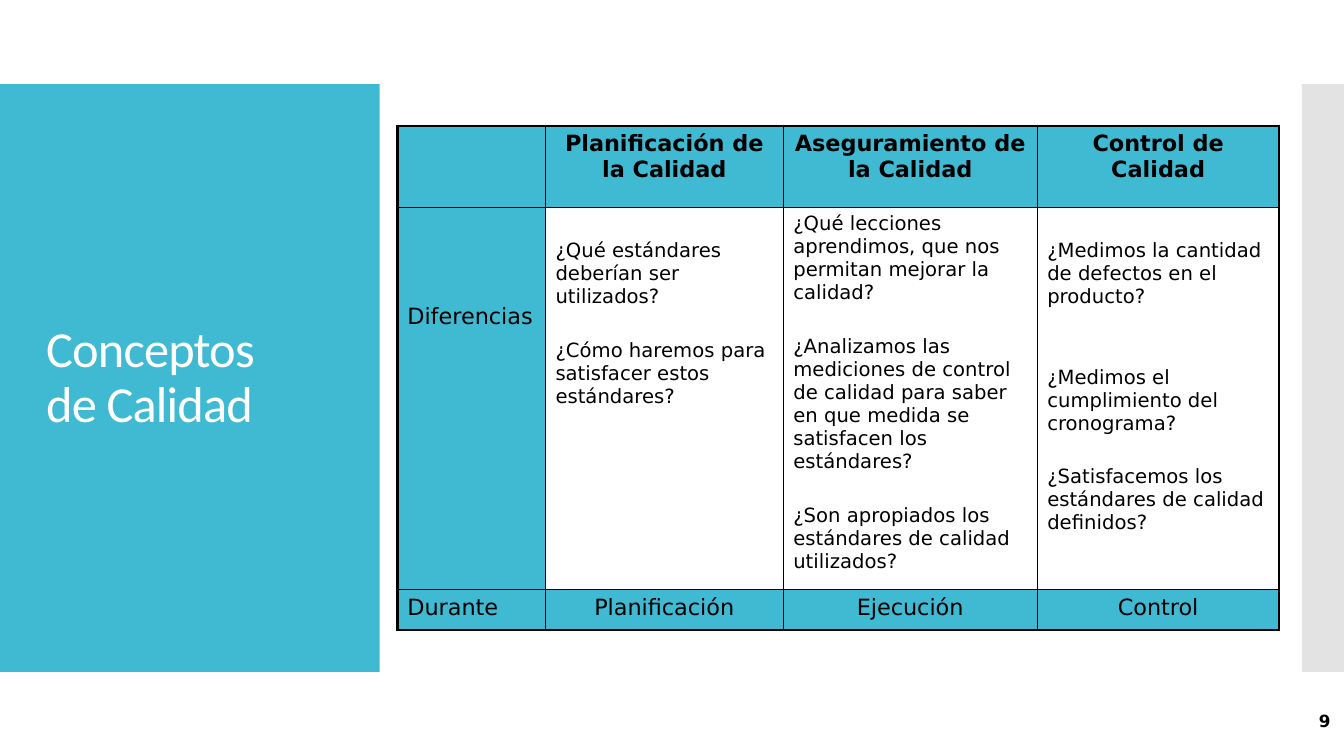
from dataclasses import dataclass

from lxml import etree
from pptx import Presentation
from pptx.dml.color import RGBColor
from pptx.enum.shapes import MSO_SHAPE
from pptx.enum.text import MSO_ANCHOR, PP_ALIGN
from pptx.oxml.ns import qn
from pptx.util import Pt

RECT = MSO_SHAPE.RECTANGLE
MIDDLE = MSO_ANCHOR.MIDDLE
LEFT, CENTER, RIGHT = PP_ALIGN.LEFT, PP_ALIGN.CENTER, PP_ALIGN.RIGHT


@dataclass(frozen=True)
class Theme:
    teal: str = "40BAD2"
    gray: str = "C8C8C8"
    white: str = "FFFFFF"
    black: str = "000000"
    head: str = "Calibri"
    body: str = "DejaVu Sans"
    title: float = 36
    label: float = 16
    text: float = 14
    page: float = 12
    thin: float = 1
    thick: float = 2.25


@dataclass(frozen=True)
class Box:
    left: float
    top: float
    width: float
    height: float

    def points(self) -> tuple:
        return Pt(self.left), Pt(self.top), Pt(self.width), Pt(self.height)


@dataclass(frozen=True)
class Panel:
    box: Box
    color: str
    alpha: int = 100


@dataclass(frozen=True)
class Label:
    box: Box
    text: str
    font: str
    size: float
    color: str
    align: PP_ALIGN = LEFT
    bold: bool = False
    leading: float = 1.0
    track: int = 0


@dataclass(frozen=True)
class Entry:
    lines: tuple = ()
    size: float = 16
    align: PP_ALIGN = LEFT
    bold: bool = False
    filled: bool = True
    inset: float = 3.6
    gaps: tuple = ()


THEME = Theme()
GAP, WIDE = 22, 41
DROP = 22.7

PANELS = (
    Panel(Box(0, 60, 271.2, 420), THEME.teal),
    Panel(Box(930, 60, 30, 420), THEME.gray, 50),
)
LABELS = (
    Label(Box(25.9, 222.5, 187.2, 95.8), "Conceptos de Calidad", THEME.head,
          THEME.title, THEME.white, leading=0.9, track=-60),
    Label(Box(837.4, 500.4, 120.2, 28.8), "9", THEME.body,
          THEME.page, THEME.black, RIGHT, True),
)
GRID = Box(283.8, 90, 629.9, 360)
WIDTHS = (105.8, 169.9, 181.4, 172.8)
HEIGHTS = (58.3, 272.9, 28.8)


def header(text: str) -> Entry:
    return Entry((text,), THEME.label, CENTER, True)


def footer(text: str) -> Entry:
    return Entry((text,), THEME.label, CENTER)


def answer(lines: tuple, gaps: tuple, inset: float = 3.6) -> Entry:
    return Entry(lines, THEME.text, filled=False, inset=inset, gaps=gaps)


ROWS = (
    (Entry(), header("Planificación de la Calidad"),
     header("Aseguramiento de la Calidad"), header("Control de Calidad")),
    (Entry(("Diferencias",), THEME.label, inset=69),
     answer(("¿Qué estándares deberían ser utilizados?",
             "¿Cómo haremos para satisfacer estos estándares?"), (GAP,), DROP),
     answer(("¿Qué lecciones aprendimos, que nos permitan mejorar la calidad?",
             "¿Analizamos las mediciones de control de calidad para saber "
             "en que medida se satisfacen los estándares?",
             "¿Son apropiados los estándares de calidad utilizados?"), (GAP, GAP)),
     answer(("¿Medimos la cantidad de defectos en el producto?",
             "¿Medimos el cumplimiento del cronograma?",
             "¿Satisfacemos los estándares de calidad definidos?"), (WIDE, GAP), DROP)),
    (Entry(("Durante",), THEME.label), footer("Planificación"),
     footer("Ejecución"), footer("Control")),
)


def style(font, name: str, size: float, color: str, bold: bool) -> None:
    font.name, font.size, font.bold = name, Pt(size), bold
    font.color.rgb = RGBColor.from_string(color)


def draw_panel(slide, panel: Panel) -> None:
    shape = slide.shapes.add_shape(RECT, *panel.box.points())
    shape.shadow.inherit = False
    shape.line.fill.background()
    shape.fill.solid()
    shape.fill.fore_color.rgb = RGBColor.from_string(panel.color)
    if panel.alpha < 100:
        color = shape.fill._xPr.find(f".//{qn('a:srgbClr')}")
        etree.SubElement(color, qn("a:alpha"), val=str(panel.alpha * 1000))


def draw_label(slide, label: Label) -> None:
    frame = slide.shapes.add_textbox(*label.box.points()).text_frame
    frame.word_wrap = True
    frame.vertical_anchor = MIDDLE
    para = frame.paragraphs[0]
    para.alignment, para.line_spacing = label.align, label.leading
    run = para.add_run()
    run.text = label.text
    style(para.font, label.font, label.size, label.color, label.bold)
    if label.track:
        run._r.get_or_add_rPr().set("spc", str(label.track))


def draw_edge(cell, side: str, width: float) -> None:
    line = etree.SubElement(cell._tc.get_or_add_tcPr(), qn(f"a:ln{side}"),
                            w=str(int(Pt(width))))
    fill = etree.SubElement(line, qn("a:solidFill"))
    etree.SubElement(fill, qn("a:srgbClr"), val=THEME.black)


def fill_cell(cell, entry: Entry, outer: dict) -> None:
    for side, edge in outer.items():
        draw_edge(cell, side, THEME.thick if edge else THEME.thin)
    if entry.filled:
        cell.fill.solid()
        cell.fill.fore_color.rgb = RGBColor.from_string(THEME.teal)
    else:
        cell.fill.background()
    cell.margin_top = Pt(entry.inset)
    frame = cell.text_frame
    for index, text in enumerate(entry.lines):
        para = frame.add_paragraph() if index else frame.paragraphs[0]
        para.text = text
        para.alignment = entry.align
        if index:
            para.space_before = Pt(entry.gaps[index - 1])
        style(para.font, THEME.body, entry.size, THEME.black, entry.bold)


def draw_table(slide) -> None:
    table = slide.shapes.add_table(len(ROWS), len(WIDTHS), *GRID.points()).table
    table.first_row = table.horz_banding = False
    for column, width in zip(table.columns, WIDTHS):
        column.width = Pt(width)
    for row, height in zip(table.rows, HEIGHTS):
        row.height = Pt(height)
    for r, entries in enumerate(ROWS):
        for c, entry in enumerate(entries):
            outer = {"L": c == 0, "R": c == len(WIDTHS) - 1,
                     "T": r == 0, "B": r == len(ROWS) - 1}
            fill_cell(table.cell(r, c), entry, outer)


def main() -> None:
    deck = Presentation()
    deck.slide_width, deck.slide_height = Pt(960), Pt(540)
    slide = deck.slides.add_slide(deck.slide_layouts[6])
    for panel in PANELS:
        draw_panel(slide, panel)
    draw_table(slide)
    for label in LABELS:
        draw_label(slide, label)
    deck.save("out.pptx")


if __name__ == "__main__":
    main()
